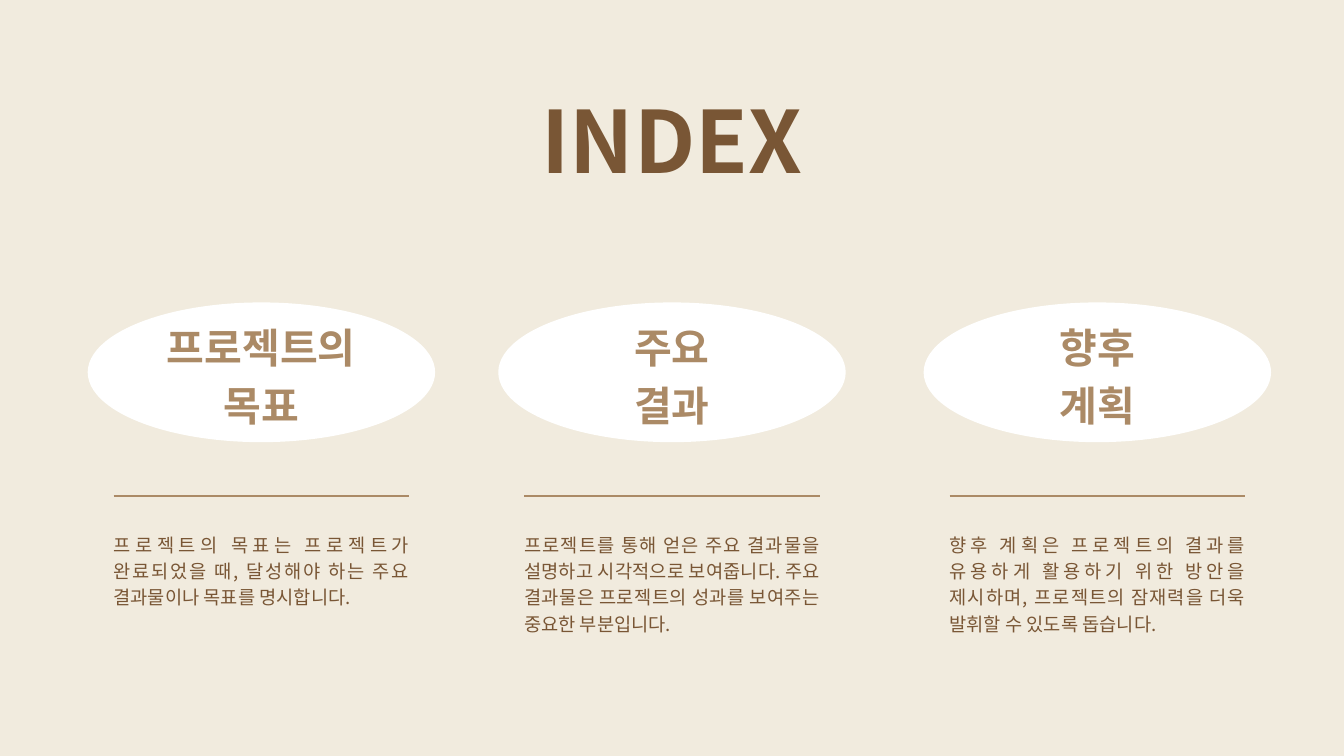
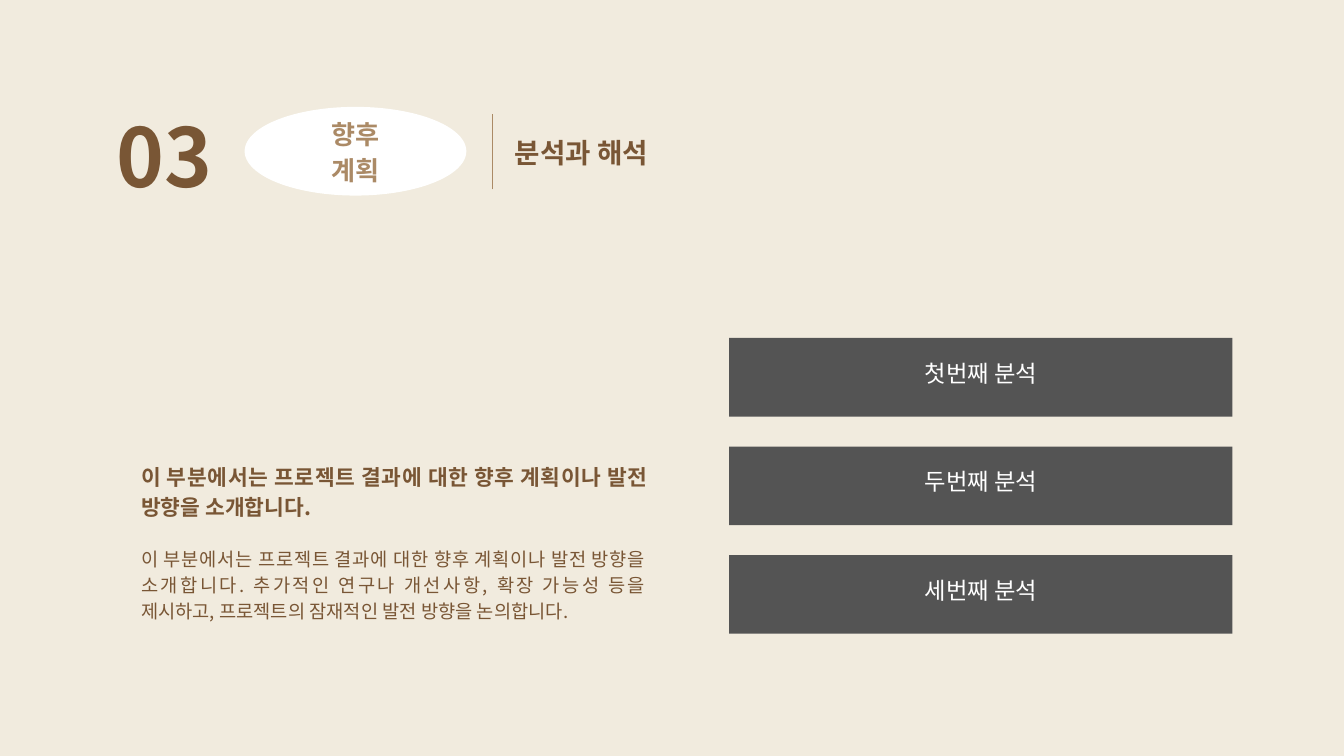
from lxml import etree
from pptx import Presentation
from pptx import util as u
from pptx.dml.color import RGBColor
from pptx.enum import shapes, text
from pptx.oxml import ns

# Shared look
WIDTH, HEIGHT = 20, 11.25
FONT = "Noto Sans CJK KR"
CREAM, WHITE, TAN, BROWN, GREY = "F1EBDE", "FFFFFF", "AB8A66", "795635", "545454"
ALIGN = text.PP_ALIGN
STYLES = {  # size, line spacing, colour, bold, alignment
    "title": (92, 128.8, BROWN, True, ALIGN.CENTER),
    "number": (87, 121.9, BROWN, True, ALIGN.LEFT),
    "topic": (44, 61.5, TAN, True, ALIGN.CENTER),
    "small topic": (28, 39.3, TAN, True, ALIGN.CENTER),
    "section": (29.6, 41.5, BROWN, True, ALIGN.LEFT),
    "lead": (23, 32.3, BROWN, True, ALIGN.JUSTIFY),
    "body": (20, 28, BROWN, False, ALIGN.JUSTIFY),
    "bar": (25, 35, WHITE, False, ALIGN.CENTER),
}

# Content
PLAN = ["향후", "계획"]
TOPICS = [  # column centre, heading lines, description
    (3.89, ["프로젝트의", "목표"],
     "프로젝트의 목표는 프로젝트가 완료되었을 때, 달성해야 하는 주요 결과물이나 목표를 명시합니다."),
    (WIDTH / 2, ["주요", "결과"],
     "프로젝트를 통해 얻은 주요 결과물을 설명하고 시각적으로 보여줍니다. "
     "주요 결과물은 프로젝트의 성과를 보여주는 중요한 부분입니다."),
    (16.33, PLAN,
     "향후 계획은 프로젝트의 결과를 유용하게 활용하기 위한 방안을 제시하며, "
     "프로젝트의 잠재력을 더욱 발휘할 수 있도록 돕습니다."),
]
LEAD = "이 부분에서는 프로젝트 결과에 대한 향후 계획이나 발전 방향을 소개합니다."
DETAIL = (LEAD + " 추가적인 연구나 개선사항, 확장 가능성 등을 제시하고, "
          "프로젝트의 잠재적인 발전 방향을 논의합니다.")
ANALYSES = ["첫번째 분석", "두번째 분석", "세번째 분석"]


def color(value):
    return RGBColor.from_string(value)


def inches(*lengths):
    return [u.Inches(length) for length in lengths]


def add_slide(presentation):
    slide = presentation.slides.add_slide(presentation.slide_layouts[6])
    slide.background.fill.solid()
    slide.background.fill.fore_color.rgb = color(CREAM)
    return slide


def add_filled(slide, kind, fill, *box):
    shape = slide.shapes.add_shape(kind, *inches(*box))
    shape.shadow.inherit = False
    shape.fill.solid()
    shape.fill.fore_color.rgb = color(fill)
    shape.line.fill.background()


def add_rule(slide, *ends):
    rule = slide.shapes.add_connector(shapes.MSO_CONNECTOR.STRAIGHT, *inches(*ends))
    rule.line.color.rgb = color(TAN)
    rule.line.width = u.Pt(1.5)
    etree.SubElement(rule._element.spPr, ns.qn("a:effectLst"))


def add_text(slide, lines, style, *box, inset=0, anchor=text.MSO_ANCHOR.TOP):
    size, spacing, ink, bold, alignment = STYLES[style]
    frame = slide.shapes.add_textbox(*inches(*box)).text_frame
    margins = {f"margin_{side}": u.Inches(inset) for side in ("left", "top", "right", "bottom")}
    for name, value in {"word_wrap": True, "vertical_anchor": anchor, **margins}.items():
        setattr(frame, name, value)
    for index, line in enumerate(lines):
        paragraph = frame.add_paragraph() if index else frame.paragraphs[0]
        paragraph.alignment = alignment
        paragraph.line_spacing = u.Pt(spacing)
        run = paragraph.add_run()
        run.text = line
        for name, value in {"size": u.Pt(size), "bold": bold, "name": FONT}.items():
            setattr(run.font, name, value)
        run.font.color.rgb = color(ink)
        etree.SubElement(run._r.get_or_add_rPr(), ns.qn("a:ea"), typeface=FONT)


def add_badge(slide, lines, style, center, top, size, text_box):
    """White oval with a heading; text_box is top, width and height."""
    width, height = size
    text_top, text_width, text_height = text_box
    add_filled(slide, shapes.MSO_SHAPE.OVAL, WHITE, center - width / 2, top, width, height)
    add_text(slide, lines, style, center - text_width / 2, text_top, text_width, text_height)


def build_index(presentation):
    slide = add_slide(presentation)
    column = 0.22 * WIDTH
    for center, heading, description in TOPICS:
        left = center - column / 2
        add_badge(slide, heading, "topic", center, 4.5, (5.17, 2.08), (4.68, 2.87, 1.69))
        add_rule(slide, left, 7.38, left + column, 7.38)
        add_text(slide, [description], "body", left, 7.89, column, 1.55)
    add_text(slide, ["INDEX"], "title", 7.19, 1.05, 5.62, 1.71)


def build_plan(presentation):
    slide = add_slide(presentation)

    # Section header
    add_text(slide, ["03"], "number", 1.74, 1.34, 1.51, 1.64)
    add_badge(slide, PLAN, "small topic", 5.29, 1.59, (3.3, 1.32), (1.68, 1.83, 1.08))
    add_rule(slide, 7.33, 2.82, 7.33, 1.69)
    add_text(slide, ["분석과 해석"], "section", 7.66, 1.94, 3.97, 0.56)

    # Explanation
    add_text(slide, [LEAD], "lead", 2.1, 6.84, 7.55, 0.89)
    add_text(slide, [DETAIL], "body", 2.1, 8.1, 7.5, 1.16)

    # Analysis bars, labels set slightly above the middle
    left, first_top, width, height, pitch, lift = 10.85, 5.03, 7.49, 1.17, 1.615, 0.2
    for index, label in enumerate(ANALYSES):
        top = first_top + index * pitch
        add_filled(slide, shapes.MSO_SHAPE.RECTANGLE, GREY, left, top, width, height)
        add_text(slide, [label], "bar", left, top - lift, width, height + lift,
                 inset=0.06, anchor=text.MSO_ANCHOR.MIDDLE)


def main():
    presentation = Presentation()
    presentation.slide_width, presentation.slide_height = inches(WIDTH, HEIGHT)
    build_index(presentation)
    build_plan(presentation)
    presentation.save("out.pptx")


if __name__ == "__main__":
    main()
